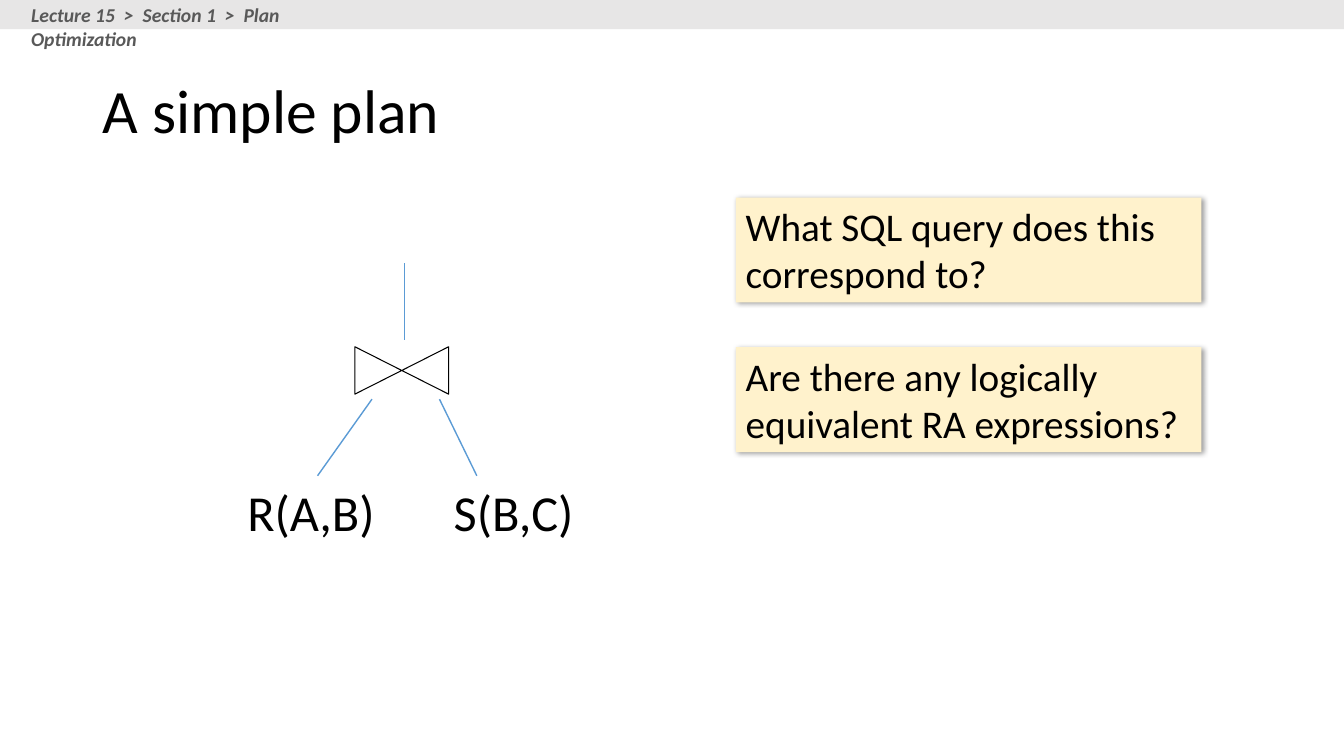
from lxml import etree
from pptx import Presentation
from pptx import util as u
from pptx.dml.color import RGBColor
from pptx.enum import shapes, text
from pptx.oxml import parse_xml
from pptx.oxml.ns import nsdecls, qn

BLACK = RGBColor(0x00, 0x00, 0x00)
GRAY = RGBColor(0x59, 0x59, 0x59)
BAND = RGBColor(0xE7, 0xE6, 0xE6)
CREAM = RGBColor(0xFF, 0xF2, 0xCC)
BLUE = RGBColor(0x5B, 0x9B, 0xD5)

SHADOW = (
    f'<a:effectLst {nsdecls("a")}>'
    '<a:outerShdw blurRad="50800" dist="12700" dir="2700000" algn="tl" rotWithShape="0">'
    '<a:srgbClr val="000000"><a:alpha val="40000"/></a:srgbClr>'
    '</a:outerShdw></a:effectLst>'
)


class Plan:
    """Style and current slide; all lengths are percent of the slide's size."""

    font = {"name": "Calibri", "size": u.Pt(28), "bold": False, "italic": False}

    def __init__(self, deck):
        self.wide, self.high = deck.slide_width, deck.slide_height
        self.slide = deck.slides.add_slide(deck.slide_layouts[5])
        self.shapes = self.slide.shapes

    def point(self, x, y):
        return round(self.wide * x / 100), round(self.high * y / 100)

    def box(self, x, y, w, h):
        return *self.point(x, y), *self.point(w, h)

    def letter(self, shape, words, align, color=BLACK, **form):
        """Put styled words into a shape and return its text frame."""
        frame = shape.text_frame
        frame.word_wrap = True
        frame.text = words
        para = frame.paragraphs[0]
        para.alignment = align
        for key, value in {**self.font, **form}.items():
            setattr(para.font, key, value)
        para.font.color.rgb = color
        return frame

    def title(self, words, *area):
        head = self.shapes.title
        for key, value in zip(("left", "top", "width", "height"), self.box(*area)):
            setattr(head, key, value)
        frame = self.letter(head, words, text.PP_ALIGN.LEFT, size=u.Pt(44))
        frame.vertical_anchor = text.MSO_ANCHOR.MIDDLE
        frame.paragraphs[0].line_spacing = 0.9

    def label(self, words, *area, align=text.PP_ALIGN.CENTER, **form):
        self.letter(self.shapes.add_textbox(*self.box(*area)), words, align, **form)

    def shape(self, kind, *area, fill=None, line=None):
        item = self.shapes.add_shape(kind, *self.box(*area))
        item.shadow.inherit = False
        if fill is None:
            item.fill.background()
        else:
            item.fill.solid()
            item.fill.fore_color.rgb = fill
        if line is None:
            item.line.fill.background()
        else:
            item.line.color.rgb = line
            item.line.width = u.Pt(0.75)
        return item

    def note(self, words, *area):
        card = self.shape(shapes.MSO_SHAPE.RECTANGLE, *area, fill=CREAM)
        props = card._element.spPr
        props.replace(props.find(qn("a:effectLst")), parse_xml(SHADOW))
        frame = self.letter(card, words, text.PP_ALIGN.LEFT)
        frame.vertical_anchor = text.MSO_ANCHOR.TOP

    def edge(self, start, end):
        line = self.shapes.add_connector(
            shapes.MSO_CONNECTOR.STRAIGHT, *self.point(*start), *self.point(*end))
        line.line.color.rgb = BLUE
        line.line.width = u.Pt(1)
        etree.SubElement(line._element.spPr, qn("a:effectLst"))


def main():
    deck = Presentation()
    deck.slide_width, deck.slide_height = u.Inches(13.33), u.Inches(7.5)
    plan = Plan(deck)
    plan.title("A simple plan", 6.9, 5.33, 86.25, 19.33)

    join = plan.shape(shapes.MSO_SHAPE.FLOWCHART_COLLATE,
                      28.13, 42.8, 3.53, 12.4, line=BLACK)
    join.rotation = 270

    leaf, foot = 62.93, 52.8
    for name, x, w in (("R(A,B)", 16.28, 13.73), ("S(B,C)", 32.1, 12.23)):
        plan.label(name, x, leaf, w, 9.47, size=u.Pt(36))
    for start, end in (((23.63, leaf), (27.68, foot)),
                       ((35.48, leaf), (32.7, foot)),
                       ((30.08, 44.93), (30.08, 34.8))):
        plan.edge(start, end)

    asks = ("What SQL query does this correspond to?",
            "Are there any logically equivalent RA expressions?")
    for row, ask in enumerate(asks):
        plan.note(ask, 54.75, 26.13 + 19.8 * row, 34.65, 13.87)

    plan.shape(shapes.MSO_SHAPE.RECTANGLE, 0, 0, 100, 3.87, fill=BAND)
    plan.label("Lecture 15  >  Section 1  >  Plan Optimization",
               1.58, -0.27, 27.68, 4.53, align=text.PP_ALIGN.LEFT,
               color=GRAY, size=u.Pt(14), bold=True, italic=True)
    deck.save("out.pptx")


if __name__ == "__main__":
    main()
